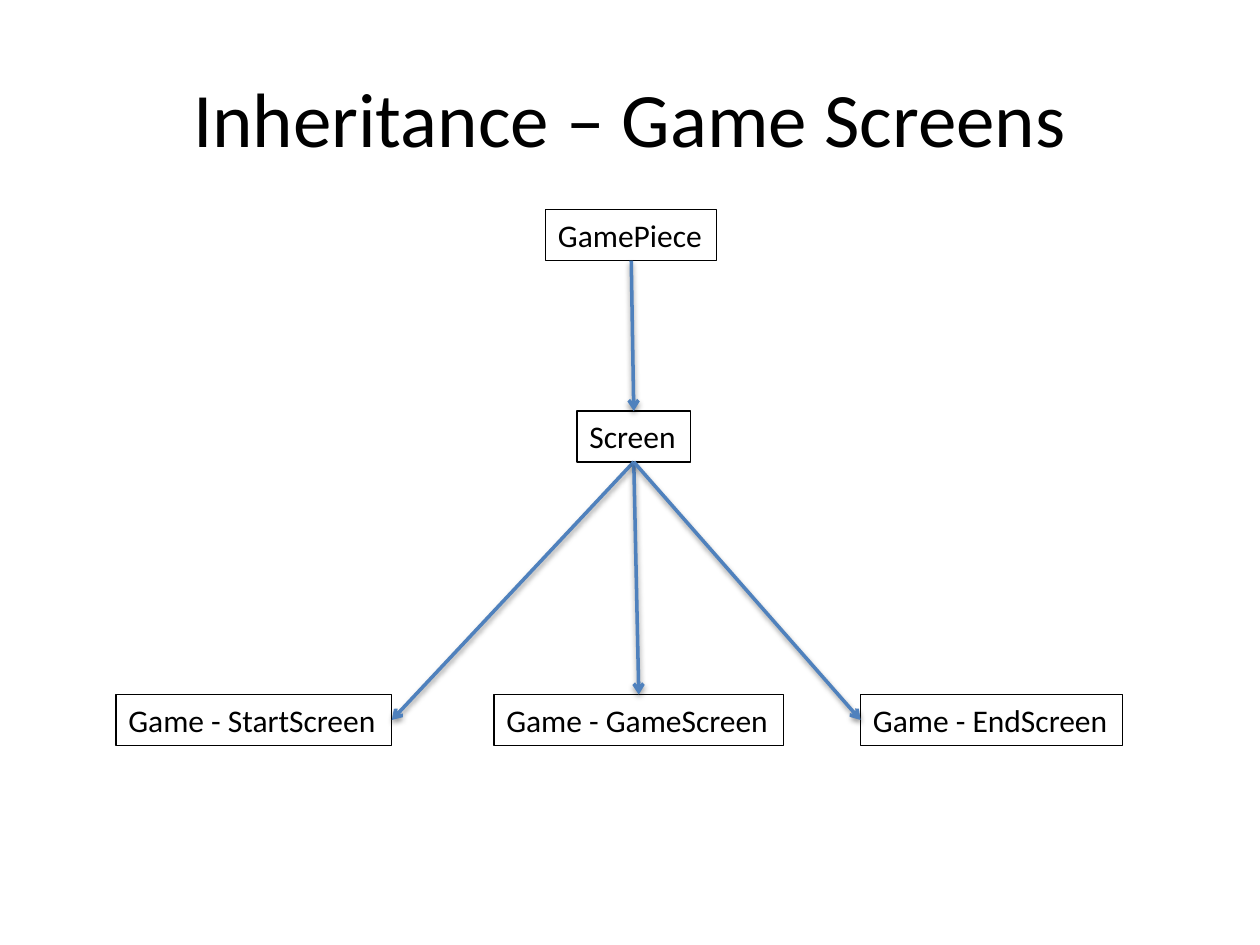
from lxml import etree
from pptx import Presentation
from pptx.dml.color import RGBColor
from pptx.enum.shapes import MSO_CONNECTOR
from pptx.enum.text import MSO_ANCHOR, MSO_AUTO_SIZE, PP_ALIGN
from pptx.oxml import parse_xml
from pptx.oxml.ns import nsdecls, qn
from pptx.util import Inches, Pt

BLACK = RGBColor(0x00, 0x00, 0x00)
BLUE = RGBColor(0x4F, 0x81, 0xBD)
TOP, LEFT, BOTTOM, RIGHT = range(4)
BOX_HEIGHT = 5.38
SHADOW = (
    f'<a:effectLst {nsdecls("a")}>'
    '<a:outerShdw blurRad="40000" dist="20000" dir="5400000" rotWithShape="0">'
    '<a:srgbClr val="000000"><a:alpha val="38000"/></a:srgbClr>'
    '</a:outerShdw></a:effectLst>'
)


class Diagram:
    """Draws a class tree on one slide, with lengths in percent of its size."""

    font = "Calibri"

    def __init__(self, prs):
        self.width, self.height = prs.slide_width, prs.slide_height
        self.shapes = prs.slides.add_slide(prs.slide_layouts[6]).shapes

    def text(self, words, left, top, width, height, size):
        box = self.shapes.add_textbox(
            round(self.width * left / 100), round(self.height * top / 100),
            round(self.width * width / 100), round(self.height * height / 100))
        frame = box.text_frame
        frame.word_wrap = True
        run = frame.paragraphs[0].add_run()
        run.text = words
        run.font.name, run.font.size = self.font, Pt(size)
        run.font.color.rgb = BLACK
        return box

    def title(self, words):
        frame = self.text(words, 5, 4, 90, 16.67, 44).text_frame
        frame.vertical_anchor = MSO_ANCHOR.MIDDLE
        frame.paragraphs[0].alignment = PP_ALIGN.CENTER

    def class_box(self, name, left, top, width):
        box = self.text(name, left, top, width, BOX_HEIGHT, 18)
        box.text_frame.word_wrap = False
        box.text_frame.auto_size = MSO_AUTO_SIZE.SHAPE_TO_FIT_TEXT
        box.line.color.rgb = BLACK
        box.line.width = Pt(0.75)
        return box

    def arrow(self, parent, child, side):
        link = self.shapes.add_connector(MSO_CONNECTOR.STRAIGHT, 0, 0, 0, 0)
        link.begin_connect(parent, BOTTOM)
        link.end_connect(child, side)
        link.line.color.rgb = BLUE
        link.line.width = Pt(2)
        line = link.line._get_or_add_ln()
        etree.SubElement(line, qn("a:tailEnd"), type="arrow")
        line.addnext(parse_xml(SHADOW))


prs = Presentation()
prs.slide_width, prs.slide_height = Inches(10), Inches(7.5)
diagram = Diagram(prs)
diagram.title("Inheritance – Game Screens")

game_piece = diagram.class_box("GamePiece", 43.3, 22.2, 13.6)
screen = diagram.class_box("Screen", 45.8, 43.5, 9)
diagram.arrow(game_piece, screen, TOP)

for kind, left, width, side in (
    ("Start", 9.2, 21.9, RIGHT),
    ("Game", 39.2, 23, TOP),
    ("End", 68.3, 20.8, LEFT),
):
    child = diagram.class_box(f"Game - {kind}Screen", left, 73.5, width)
    diagram.arrow(screen, child, side)

prs.save("out.pptx")
